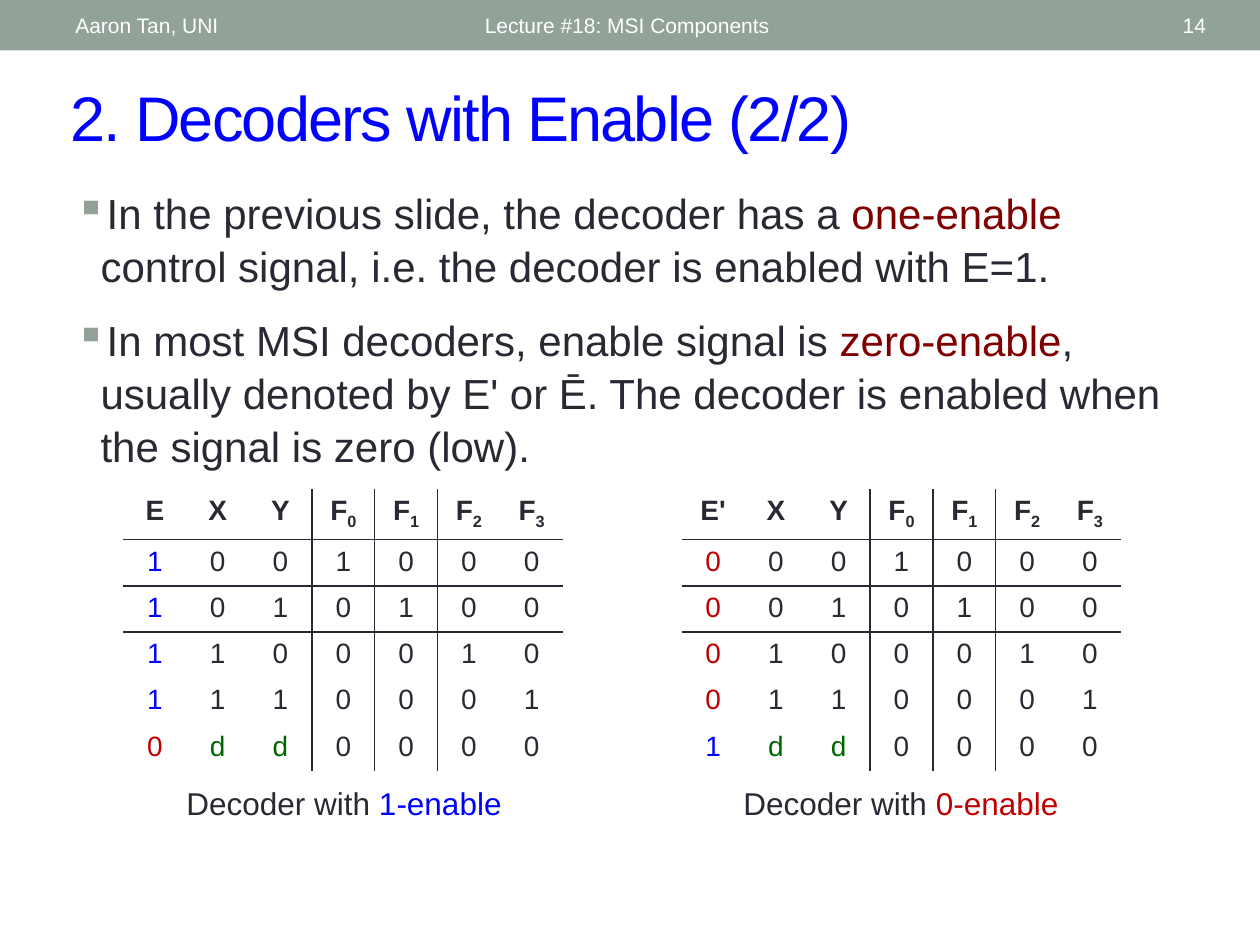
from dataclasses import dataclass

from lxml.etree import SubElement
from pptx import Presentation
from pptx.dml.color import RGBColor as Rgb
from pptx.enum.shapes import MSO_SHAPE as Form
from pptx.enum.text import MSO_ANCHOR as Anchor, PP_ALIGN as Align
from pptx.oxml.ns import qn
from pptx.util import Inches, Pt


@dataclass(frozen=True)
class Theme:
    face: str = "Arial"
    ink: str = "292934"
    band: str = "93A299"
    white: str = "FFFFFF"
    blue: str = "0000FF"
    red: str = "C00000"
    wine: str = "800000"
    green: str = "006600"
    title: int = 36
    body: int = 24
    label: int = 18
    cell: int = 16
    small: int = 12
    plain: str = "{2D5ABB26-0587-4C30-8999-92F81FD0307C}"


class Deck:
    def __init__(self, theme):
        self.theme = theme
        self.show = Presentation()
        self.show.slide_width = Inches(10)
        self.show.slide_height = Inches(7.5)
        self.slide = self.show.slides.add_slide(self.show.slide_layouts[6])

    def band(self, high):
        bar = self.slide.shapes.add_shape(
            Form.RECTANGLE, 0, 0, self.show.slide_width, Inches(high))
        bar.shadow.inherit = False
        bar.fill.solid()
        bar.fill.fore_color.rgb = Rgb.from_string(self.theme.band)
        bar.line.fill.background()

    def style(self, para, parts, size, color, align=Align.LEFT, bold=False):
        font = para.font
        font.name, font.size, font.bold = self.theme.face, Pt(size), bold
        font.color.rgb = Rgb.from_string(color)
        para.alignment = align
        for text, tint in parts:
            run = para.add_run()
            run.text = text
            if tint:
                run.font.color.rgb = Rgb.from_string(tint)

    def text(self, box, parts, size, color, align=Align.LEFT, anchor=Anchor.MIDDLE):
        frame = self.slide.shapes.add_textbox(*map(Inches, box)).text_frame
        frame.word_wrap = True
        frame.vertical_anchor = anchor
        para = frame.paragraphs[0]
        self.style(para, parts, size, color, align)
        return para

    def title(self, box, text):
        para = self.text(box, [(text, None)], self.theme.title, self.theme.blue)
        para.runs[0].font._element.set("spc", "-100")

    def bullets(self, box, items):
        frame = self.slide.shapes.add_textbox(*map(Inches, box)).text_frame
        frame.word_wrap = True
        for i, parts in enumerate(items):
            para = frame.add_paragraph() if i else frame.paragraphs[0]
            self.style(para, parts, self.theme.body, self.theme.ink)
            para.line_spacing = 1.05
            para.space_before = Pt(12 if i else 0)
            props = para._p.get_or_add_pPr()
            props.set("marL", str(Inches(0.2)))
            props.set("indent", str(-Inches(0.2)))
            tint = SubElement(props, qn("a:buClr"))
            SubElement(tint, qn("a:srgbClr"), val=self.theme.band)
            mark = SubElement(props, qn("a:buChar"), char="▪")
            mark.addnext(props.find(qn("a:defRPr")))

    def edges(self, cell, sides):
        props = cell._tc.get_or_add_tcPr()
        for side in "LRTB":
            if side in sides:
                line = SubElement(props, qn("a:ln" + side), w=str(Pt(1)))
                fill = SubElement(line, qn("a:solidFill"))
                SubElement(fill, qn("a:srgbClr"), val=self.theme.ink)
        cell.fill.background()

    def table(self, box, head, rows, tints):
        grid = [head, *rows]
        table = self.slide.shapes.add_table(
            len(grid), len(head), *map(Inches, box)).table
        table._tbl.tblPr.find(qn("a:tableStyleId")).text = self.theme.plain
        table.first_row = table.horz_banding = False
        across = {0: "B", 1: "TB", 2: "T"}
        down = {2: "R", 3: "LR", 4: "L"}
        for r, row in enumerate(grid):
            for c, text in enumerate(row):
                cell = table.cell(r, c)
                para = cell.text_frame.paragraphs[0]
                vivid = r and (c == 0 or text == "d")
                tint = tints[text] if vivid else self.theme.ink
                signs = text if text[0] == "F" else [text]
                self.style(para, [(sign, None) for sign in signs],
                           self.theme.cell, tint, Align.CENTER, r == 0)
                for run in para.runs[1:]:
                    run.font._element.set("baseline", "-25000")
                self.edges(cell, across.get(r, "") + down.get(c, ""))


def main():
    look = Theme()
    deck = Deck(look)
    deck.band(0.4)
    deck.title((0.46, 0.57, 9.36, 0.7), "2. Decoders with Enable (2/2)")
    for left, wide, text, align in (
        (3.75, 4.5, "Lecture #18: MSI Components", Align.LEFT),
        (8.72, 0.95, "14", Align.RIGHT),
        (0.5, 3.17, "Aaron Tan, UNI", Align.LEFT),
    ):
        deck.text((left, 0.02, wide, 0.36), [(text, None)], look.small, look.white, align)
    deck.bullets((0.5, 1.42, 9, 2.39), [
        [("In the previous slide, the decoder has a ", None),
         ("one-enable", look.wine),
         (" control signal, i.e. the decoder is enabled with E=1.", None)],
        [("In most MSI decoders, enable signal is ", None),
         ("zero-enable", look.wine),
         (", usually denoted by E' or Ē. The decoder is enabled when the signal is zero (low).", None)],
    ])
    tails = ("001000", "010100", "100010", "110001", "dd0000")
    tints = {"1": look.blue, "0": look.red, "d": look.green}
    for left, start, wide, name, on, off in (
        (0.98, 1.04, 3.38, "E", "1", "0"),
        (5.41, 5.52, 3.26, "E'", "0", "1"),
    ):
        deck.text((start, 6.17, wide, 0.4),
                  [("Decoder with ", None), (on + "-enable", tints[on])],
                  look.label, look.ink, Align.CENTER, Anchor.TOP)
        rows = [(off if tail[0] == "d" else on) + tail for tail in tails]
        head = [name, "X", "Y", "F0", "F1", "F2", "F3"]
        deck.table((left, 3.88, 3.49, 2.2), head, rows, tints)
    deck.show.save("out.pptx")


if __name__ == "__main__":
    main()
